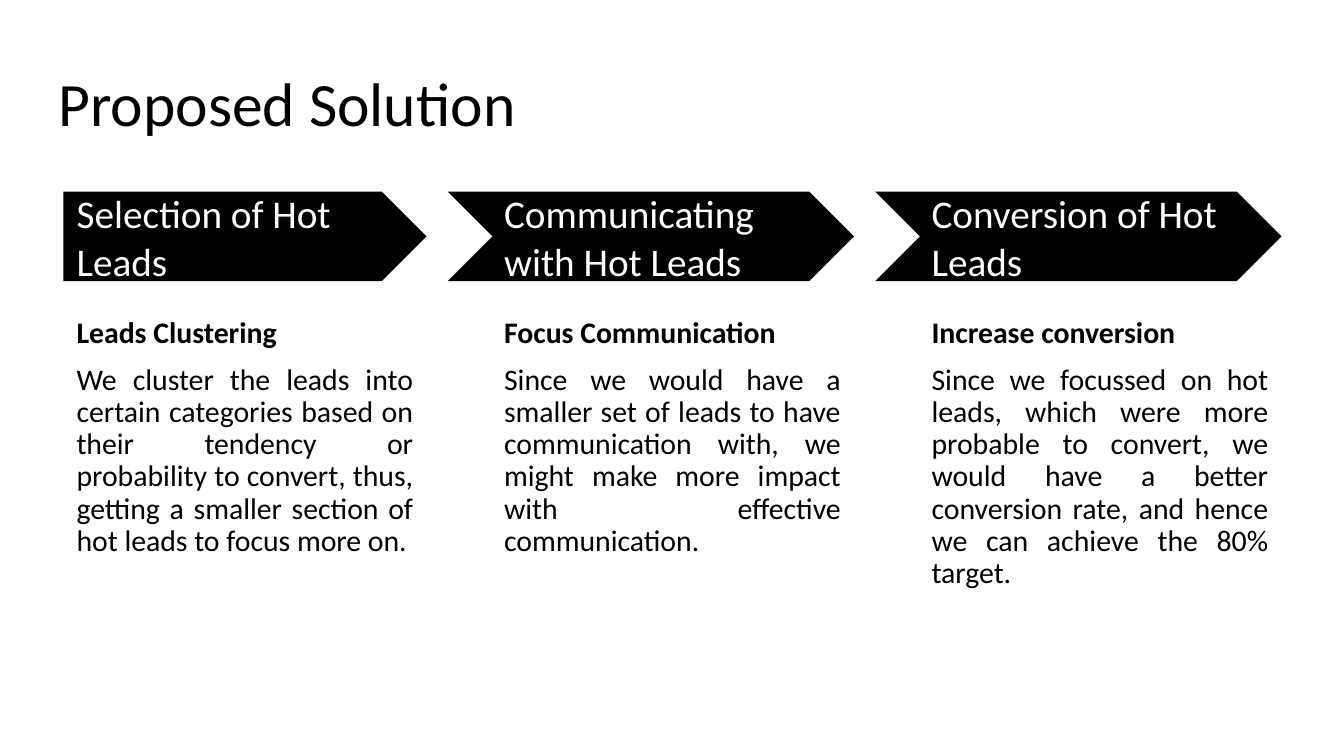
from dataclasses import dataclass
from pptx import Presentation
from pptx.dml.color import RGBColor as RGB
from pptx.enum.shapes import MSO_SHAPE as SHAPE
from pptx.enum.text import MSO_ANCHOR as ANCHOR, PP_ALIGN as ALIGN
from pptx.util import Inches, Pt


@dataclass(frozen=True)
class Theme:
    font: str = "Calibri"
    ink: RGB = RGB(0, 0, 0)
    paper: RGB = RGB(255, 255, 255)
    title: float = 44
    label: float = 28
    body: float = 21.3
    gap: float = 10.7
    spacing: float = 0.9
    inset: float = 0.13


THEME = Theme()

STEPS = [
    ("Selection of Hot Leads", "Leads Clustering",
     "We cluster the leads into certain categories based on their tendency or "
     "probability to convert, thus, getting a smaller section of hot leads to "
     "focus more on."),
    ("Communicating with Hot Leads", "Focus Communication",
     "Since we would have a smaller set of leads to have communication with, "
     "we might make more impact with effective communication."),
    ("Conversion of Hot Leads", "Increase conversion",
     "Since we focussed on hot leads, which were more probable to convert, we "
     "would have a better conversion rate, and hence we can achieve the 80% "
     "target."),
]


def add_box(s, x, y, w, h, anchor=ANCHOR.TOP):
    tf = s.shapes.add_textbox(Inches(x), Inches(y), Inches(w), Inches(h)).text_frame
    tf.word_wrap = True
    tf.vertical_anchor = anchor
    tf.margin_left = tf.margin_right = Inches(THEME.inset)
    tf.margin_top = tf.margin_bottom = Inches(THEME.inset)
    return tf


def write(p, text, size, color=THEME.ink, bold=False, spacing=THEME.spacing):
    p.line_spacing = spacing
    r = p.add_run()
    r.text = text
    r.font.name = THEME.font
    r.font.size = Pt(size)
    r.font.bold = bold
    r.font.color.rgb = color


def add_title(s, x, y, w, h):
    write(add_box(s, x, y, w, h).paragraphs[0], "Proposed Solution", THEME.title)


def add_arrow(s, x, y, w, h, label, first):
    notch = 0 if first else 0.43
    kind = SHAPE.PENTAGON if first else SHAPE.CHEVRON
    sp = s.shapes.add_shape(kind, Inches(x - notch), Inches(y),
                            Inches(w + notch), Inches(h))
    sp.shadow.inherit = False
    sp.fill.solid()
    sp.fill.fore_color.rgb = THEME.ink
    sp.line.fill.background()
    tf = add_box(s, x, y + 0.22, w - 0.31, 0.46, ANCHOR.MIDDLE)
    write(tf.paragraphs[0], label, THEME.label, THEME.paper, spacing=1.0)


def add_details(s, x, y, w, h, heading, text):
    tf = add_box(s, x, y, w, h)
    write(tf.paragraphs[0], heading, THEME.body, bold=True)
    p = tf.add_paragraph()
    p.alignment = ALIGN.JUSTIFY
    p.space_before = p.space_after = Pt(THEME.gap)
    write(p, text, THEME.body)


def add_steps(s, x, y, w, h):
    col_w, arrow_h, details_top = 3.6, 0.89, 1.12
    pitch = (w - col_w) / (len(STEPS) - 1)
    for i, (label, heading, text) in enumerate(STEPS):
        left = x + i * pitch
        add_arrow(s, left, y, col_w, arrow_h, label, i == 0)
        add_details(s, left, y + details_top, col_w, h - details_top, heading, text)


prs = Presentation()
prs.slide_width, prs.slide_height = Inches(13.33), Inches(7.5)
s = prs.slides.add_slide(prs.slide_layouts[6])
add_title(s, 0.45, 0.6, 12.42, 0.89)
add_steps(s, 0.63, 1.9, 12.08, 4.99)
prs.save("out.pptx")
